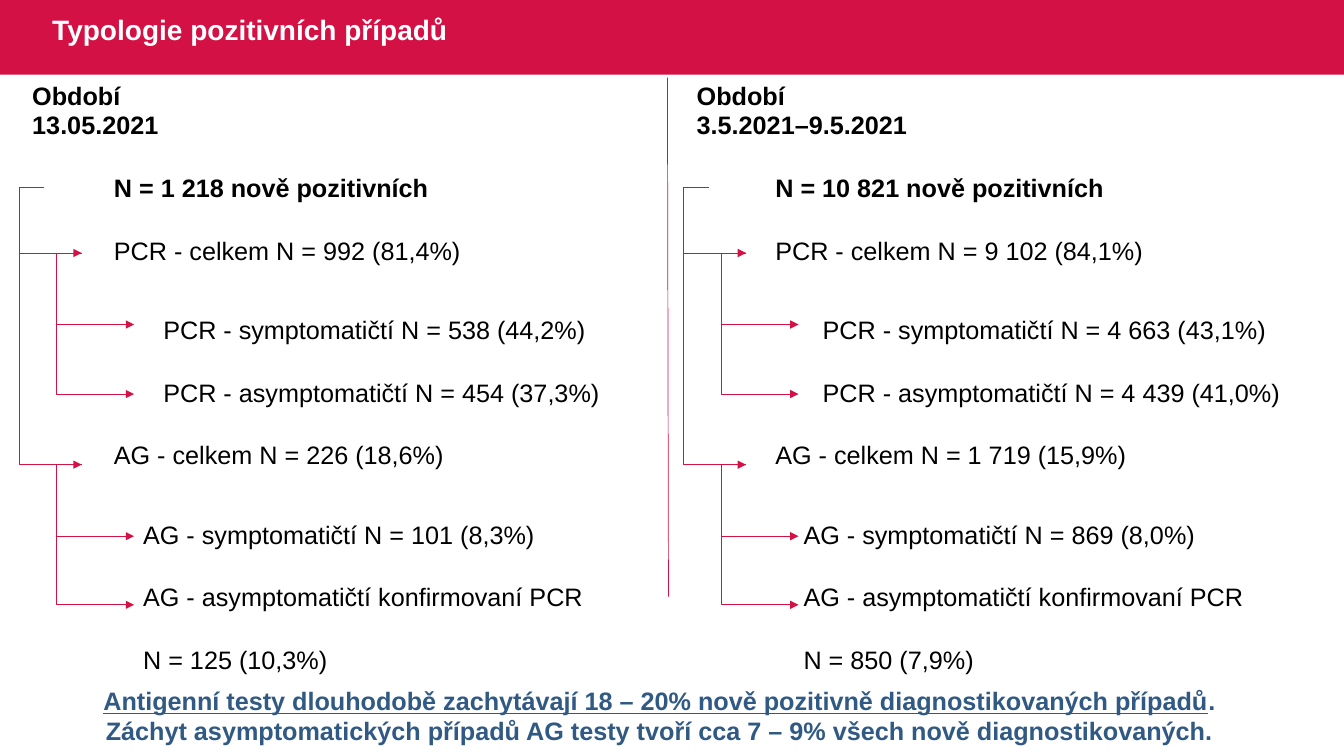
import pptx
import pptx.dml.color
import pptx.enum.shapes
import pptx.enum.text
import pptx.oxml
import pptx.oxml.ns
import pptx.util
from lxml import etree

Inches = pptx.util.Inches
RGBColor = pptx.dml.color.RGBColor
Anchor = pptx.enum.text.MSO_ANCHOR
Connector = pptx.enum.shapes.MSO_CONNECTOR
qn = pptx.oxml.ns.qn

CRIMSON = RGBColor(0xD3, 0x11, 0x45)
BLUE = RGBColor(0x30, 0x59, 0x83)
BLACK = RGBColor(0, 0, 0)
WHITE = RGBColor(0xFF, 0xFF, 0xFF)

PLAIN_TABLE = "{2D5ABB26-0587-4C30-8999-92F81FD0307C}"
ROW_HEIGHT = 0.622
PANEL_TOP = 0.48
PANEL_LEFT = 0.31
PANEL_STEP = 6.59

ROW_LAYOUT = [
    (0, Anchor.BOTTOM), (0, Anchor.TOP), (1, Anchor.TOP), (1, Anchor.TOP),
    (3, Anchor.MIDDLE), (3, Anchor.MIDDLE), (1, Anchor.MIDDLE),
    (2, Anchor.BOTTOM), (2, Anchor.BOTTOM), (2, Anchor.BOTTOM),
]
BOLD_ROWS = 3

TOTAL_X, TEST_X, SYMPTOM_X = 0.44, 0.81, 1.33
BEND = 0.25
TOTAL_Y, PCR_Y, AG_Y = 1.86, 2.51, 4.61
BRANCHES = [
    (TOTAL_X, TOTAL_Y, TEST_X, AG_Y),
    (TEST_X, PCR_Y, SYMPTOM_X, 3.22),
    (TEST_X, PCR_Y, SYMPTOM_X, 3.91),
    (TEST_X, AG_Y, SYMPTOM_X, 5.32),
    (TEST_X, AG_Y, SYMPTOM_X, 6),
    (TOTAL_X, TOTAL_Y, TEST_X, PCR_Y),
]

PERIODS = [
    ([0.81, 0.29, 0.2, 5.31], [
        "Období", "13.05.2021", "N = 1 218 nově pozitivních",
        "PCR - celkem N = 992 (81,4%)",
        "PCR - symptomatičtí N = 538 (44,2%)",
        "PCR - asymptomatičtí N = 454 (37,3%)",
        "AG - celkem N = 226 (18,6%)",
        "AG - symptomatičtí N = 101 (8,3%)",
        "AG - asymptomatičtí konfirmovaní PCR", "N = 125 (10,3%)"]),
    ([0.78, 0.28, 0.19, 5.1], [
        "Období", "3.5.2021–9.5.2021", "N = 10 821 nově pozitivních",
        "PCR - celkem N = 9 102 (84,1%)",
        "PCR - symptomatičtí N = 4 663 (43,1%)",
        "PCR - asymptomatičtí N = 4 439 (41,0%)",
        "AG - celkem N = 1 719 (15,9%)",
        "AG - symptomatičtí N = 869 (8,0%)",
        "AG - asymptomatičtí konfirmovaní PCR", "N = 850 (7,9%)"]),
]
FINDING = ("Antigenní testy dlouhodobě zachytávají 18 – 20% "
           "nově pozitivně diagnostikovaných případů")
DETAIL = (". Záchyt asymptomatických případů AG testy tvoří cca 7 – 9% "
          "všech nově diagnostikovaných.")


def style_font(font, size, color, bold):
    """Apply the slide's typeface with a size, colour and weight."""
    font.name = "Arial"
    font.size = pptx.util.Pt(size)
    font.color.rgb = color
    font.bold = bold


def add_textbox(slide, left, top, width, height):
    """Add a wrapping text frame."""
    box = slide.shapes.add_textbox(*map(Inches, (left, top, width, height)))
    box.text_frame.word_wrap = True
    return box.text_frame


def add_header(slide, width):
    """Add the coloured band and the slide title."""
    band = slide.shapes.add_shape(
        pptx.enum.shapes.MSO_SHAPE.RECTANGLE, 0, 0, width, Inches(0.74))
    band.shadow.inherit = False
    band.fill.solid()
    band.fill.fore_color.rgb = CRIMSON
    band.line.fill.background()
    title = add_textbox(slide, 0.42, 0, 6.97, 0.63)
    title.vertical_anchor = Anchor.MIDDLE
    title.text = "Typologie pozitivních případů"
    title.paragraphs[0].line_spacing = 0.9
    style_font(title.paragraphs[0].runs[0].font, 20, WHITE, True)


def add_line(slide, kind, *ends):
    """Add a thin crimson connector without a shadow."""
    line = slide.shapes.add_connector(kind, *map(Inches, ends))
    line.line.color.rgb = CRIMSON
    line.line.width = pptx.util.Pt(0.5)
    etree.SubElement(line._element.spPr, qn("a:effectLst"))
    return line


def add_branch(slide, shift, start_x, start_y, end_x, end_y):
    """Add an arrow that bends out to the left of its start."""
    branch = add_line(slide, Connector.ELBOW,
                      start_x + shift, start_y, end_x + shift, end_y)
    guides = branch._element.spPr.find(qn("a:prstGeom")).get_or_add_avLst()
    bend = round(-BEND / (end_x - start_x) * 100000)
    etree.SubElement(guides, qn("a:gd"), name="adj1", fmla=f"val {bend}")
    outline = branch.line._get_or_add_ln()
    etree.SubElement(outline, qn("a:tailEnd"), type="triangle")


def add_period_table(slide, left, widths, labels):
    """Add the indented breakdown of one period."""
    frame = slide.shapes.add_table(
        len(labels), len(widths), Inches(left), Inches(PANEL_TOP),
        Inches(sum(widths)), Inches(ROW_HEIGHT * len(labels)))
    breakdown = frame.table
    breakdown.first_row = breakdown.horz_banding = False
    next(frame._element.iter(qn("a:tableStyleId"))).text = PLAIN_TABLE
    for column, width in zip(breakdown.columns, widths):
        column.width = Inches(width)
    for cell in breakdown.iter_cells():
        cell.fill.background()
    last = len(widths) - 1
    for row, (label, (indent, anchor)) in enumerate(zip(labels, ROW_LAYOUT)):
        cell = breakdown.cell(row, indent)
        if indent < last:
            cell.merge(breakdown.cell(row, last))
        else:
            breakdown.cell(row, 1).merge(breakdown.cell(row, 2))
        cell.margin_left = cell.margin_right = cell.margin_top = Inches(0.01)
        cell.margin_bottom = 0
        cell.vertical_anchor = anchor
        cell.text = label
        style_font(cell.text_frame.paragraphs[0].runs[0].font,
                   18, BLACK, row < BOLD_ROWS)


def add_conclusion(slide):
    """Add the centred closing statement."""
    paragraph = add_textbox(slide, 0.85, 6.75, 11.38, 0.71).paragraphs[0]
    paragraph.alignment = pptx.enum.text.PP_ALIGN.CENTER
    for words, underlined in ((FINDING, True), (DETAIL, False)):
        run = paragraph.add_run()
        run.text = words
        style_font(run.font, 18, BLUE, True)
        run.font.underline = underlined


def main():
    """Build and save the slide."""
    deck = pptx.Presentation()
    deck.slide_width, deck.slide_height = Inches(13.33), Inches(7.5)
    slide = deck.slides.add_slide(deck.slide_layouts[6])
    add_header(slide, deck.slide_width)
    add_line(slide, Connector.STRAIGHT, 6.62, 0.77, 6.63, 5.92)
    for index, (widths, labels) in enumerate(PERIODS):
        shift = index * PANEL_STEP
        add_period_table(slide, PANEL_LEFT + shift, widths, labels)
        for branch in BRANCHES:
            add_branch(slide, shift, *branch)
    add_conclusion(slide)
    deck.save("out.pptx")


if __name__ == "__main__":
    main()
